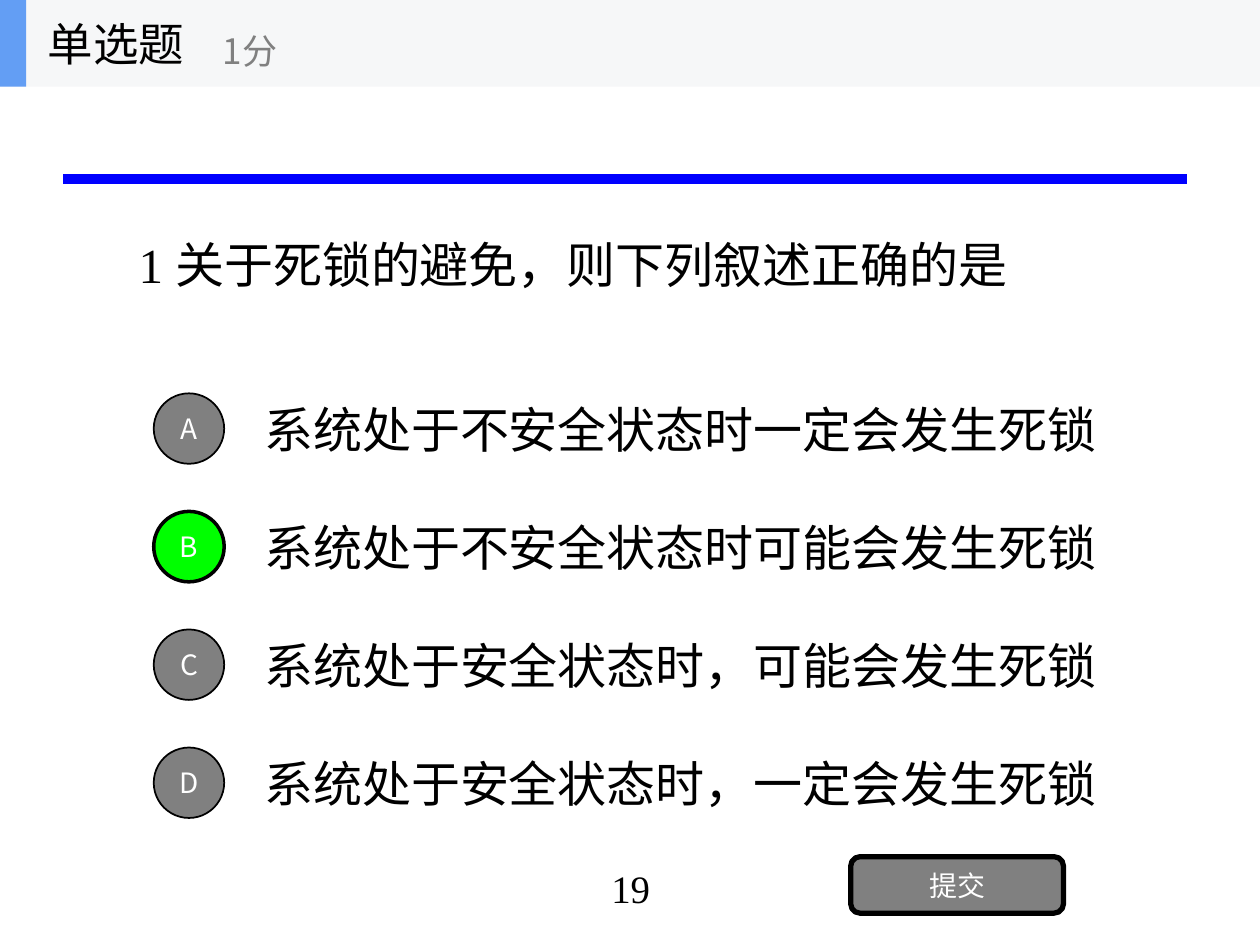
from pptx import Presentation
from pptx.dml.color import RGBColor as Rgb
from pptx.enum.shapes import MSO_CONNECTOR as Link, MSO_SHAPE as Kind
from pptx.enum.text import MSO_ANCHOR as Anchor, MSO_AUTO_SIZE as Fit, PP_ALIGN as Align
from pptx.oxml.ns import qn
from pptx.util import Cm, Pt
from lxml.etree import SubElement

HUES = {"ink": "000000", "white": "FFFFFF", "grey": "808080", "right": "00FF00",
        "rule": "0000FF", "band": "F6F7F8", "tab": "639EF4"}
SANS, SERIF = "Noto Sans CJK SC", "Times New Roman"
CHOICES = [
    ("A", "系统处于不安全状态时一定会发生死锁"),
    ("B", "系统处于不安全状态时可能会发生死锁"),
    ("C", "系统处于安全状态时，可能会发生死锁"),
    ("D", "系统处于安全状态时，一定会发生死锁"),
]
ANSWER = "B"


def hue(name):
    return Rgb.from_string(HUES[name])


def place(shape, x, y, w, h):
    shape.left, shape.top, shape.width, shape.height = Cm(x), Cm(y), Cm(w), Cm(h)


def write(shape, text, size=28, font=SERIF, color="ink", align=Align.LEFT, anchor=Anchor.MIDDLE):
    frame = shape.text_frame
    frame.word_wrap, frame.auto_size = True, Fit.NONE
    frame.vertical_anchor = anchor
    para = frame.paragraphs[0]
    para.alignment = align
    run = para.add_run()
    run.text = text
    run.font.size, run.font.name = Pt(size), font
    run.font.color.rgb = hue(color)
    SubElement(run.font._element, qn("a:ea")).set("typeface", SANS)


def label(shapes, text, x, y, w, h, **style):
    box = shapes.add_textbox(Cm(x), Cm(y), Cm(w), Cm(h))
    write(box, text, **style)


def block(shapes, kind, fill, x, y, w, h, line=0):
    shape = shapes.add_shape(kind, Cm(x), Cm(y), Cm(w), Cm(h))
    shape.shadow.inherit = False
    shape.fill.solid()
    shape.fill.fore_color.rgb = hue(fill)
    if line:
        shape.line.color.rgb = hue("ink")
        shape.line.width = Pt(line)
    else:
        shape.line.fill.background()
    return shape


def rule(slide, x, y, w):
    line = slide.shapes.add_connector(Link.STRAIGHT, Cm(x), Cm(y), Cm(x + w), Cm(y))
    line.line.color.rgb = hue("rule")
    line.line.width = Pt(6)
    SubElement(line._element.spPr, qn("a:effectLst"))


def header(slide, x, y, w, h):
    parts = slide.shapes.add_group_shape().shapes
    block(parts, Kind.RECTANGLE, "band", x, y, w, h)
    block(parts, Kind.RECTANGLE, "tab", x, y, 0.53, h)
    label(parts, "单选题", x + 0.71, y, 5.28, h, size=26, font=SANS)
    label(parts, "1分", x + 4.24, y + 0.3, 6.35, h - 0.33,
          size=20, font=SANS, color="grey")


def question(slide, x, y, w, h):
    title = slide.shapes.title
    place(title, x, y, w, h)
    write(title, "1 关于死锁的避免，则下列叙述正确的是")


def choices(slide, x, y, w, row, pitch):
    dot = 1.42
    for i, (mark, text) in enumerate(CHOICES):
        top = y + i * pitch
        hit = mark == ANSWER
        disc = block(slide.shapes, Kind.OVAL, "right" if hit else "grey",
                     x, top + (row - dot) / 2, dot, dot, line=2 if hit else 1)
        write(disc, mark, size=16, font=SANS, color="white", align=Align.CENTER)
        label(slide.shapes, text, x + 1.98, top, w - 1.98, row)


def footer(slide, x, y, w, h):
    label(slide.shapes, "19", x, y, 8.05, h + 0.13, size=22.2,
          align=Align.CENTER, anchor=Anchor.TOP)
    button = block(slide.shapes, Kind.ROUNDED_RECTANGLE, "grey",
                   x + w - 4.29, y - 0.03, 4.29, h, line=3)
    write(button, "提交", size=16, font=SANS, color="white", align=Align.CENTER)


def main():
    deck = Presentation()
    deck.slide_width, deck.slide_height = Cm(25.4), Cm(19.05)
    slide = deck.slides.add_slide(deck.slide_layouts[5])
    rule(slide, 1.27, 3.61, 22.66)
    question(slide, 2.54, 2.36, 20.32, 5.94)
    choices(slide, 3.1, 7.75, 19.76, 1.78, 2.38)
    footer(slide, 8.69, 17.3, 12.75, 1.14)
    header(slide, 0, 0, 25.4, 1.75)
    deck.save("out.pptx")


if __name__ == "__main__":
    main()
